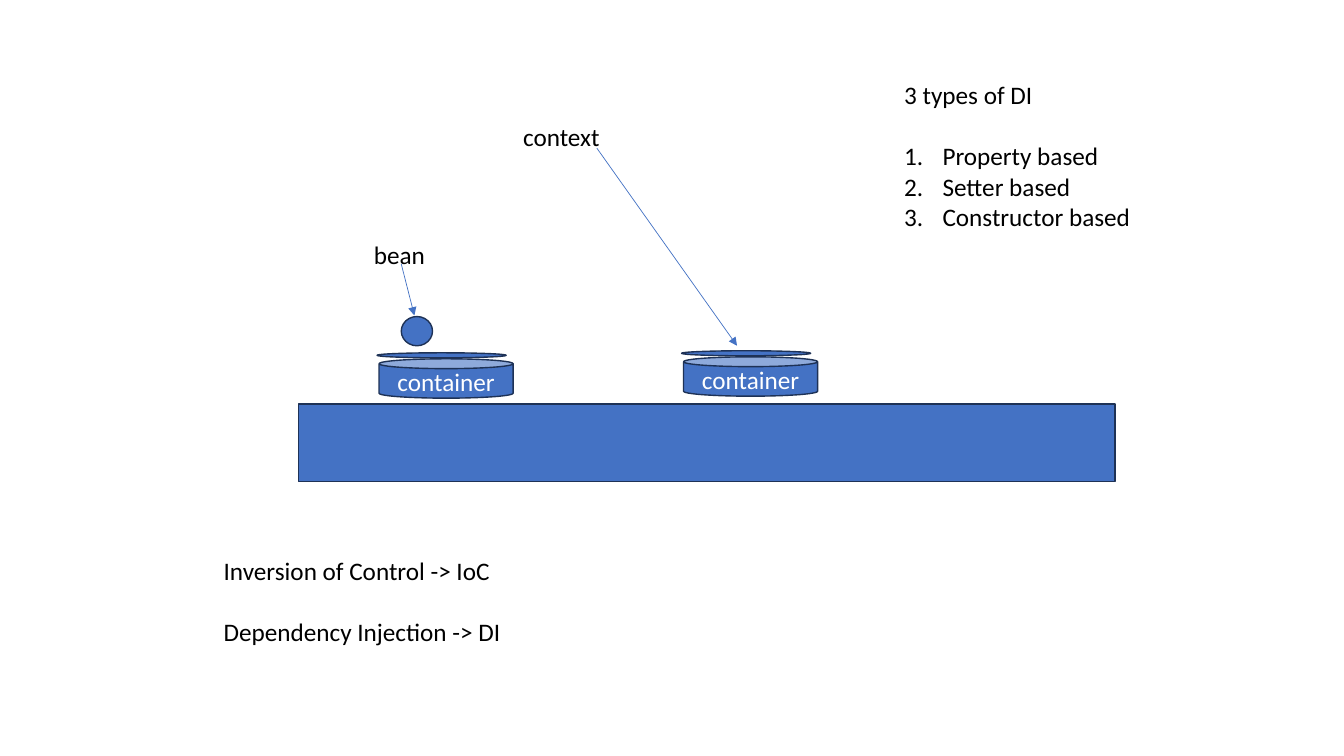
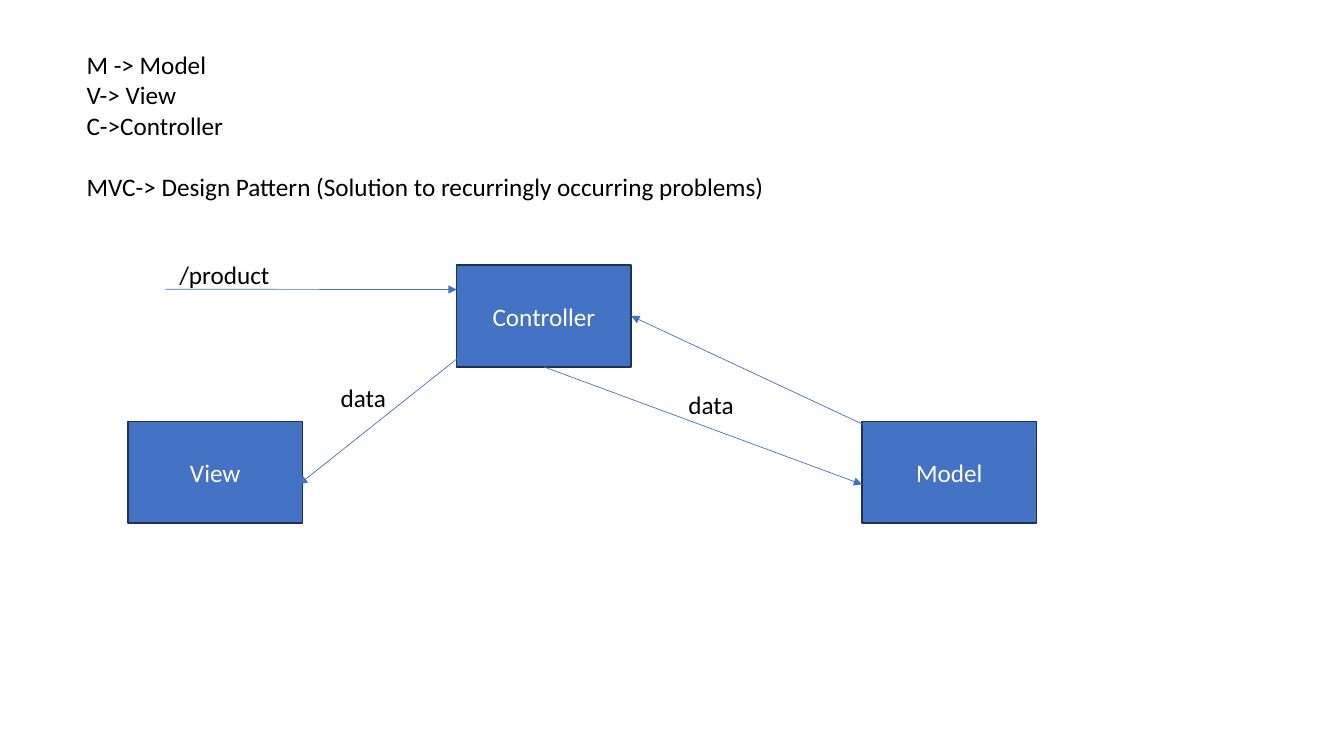
from pptx import Presentation
from pptx.dml.color import RGBColor
from pptx.enum.shapes import MSO_CONNECTOR, MSO_SHAPE
from pptx.enum.text import MSO_ANCHOR, MSO_AUTO_SIZE, PP_ALIGN
from pptx.oxml.ns import qn
from pptx.util import Inches, Pt
from lxml.etree import SubElement

THEME = {
    "blue": RGBColor(0x44, 0x72, 0xC4),
    "navy": RGBColor(0x1E, 0x32, 0x56),
    "black": RGBColor(0, 0, 0),
    "white": RGBColor(255, 255, 255),
    "font": "Calibri",
    "size": Pt(18),
    "gap": Pt(22),
    "outline": Pt(1),
    "arrow": Pt(0.5),
    "indent": Inches(0.38),
}

# A text is (place, groups); a blank line's height separates the groups.
# A group is (numbered, lines).
SPRING = {
    "texts": [
        ((5.09, 1.15, 2.44, 0.4), [(False, ["context"])]),
        ((3.61, 2.33, 2.44, 0.4), [(False, ["bean"])]),
        ((2.12, 5.46, 6.32, 1.01), [
            (False, ["Inversion of Control -> IoC"]),
            (False, ["Dependency Injection -> DI"]),
        ]),
        ((8.87, 0.74, 3.83, 1.62), [
            (False, ["3 types of DI"]),
            (True, ["Property based", "Setter based", "Constructor based"]),
        ]),
    ],
    "platform": (2.96, 4.01, 8.1, 0.77),
    "bean": (3.98, 3.14, 0.31, 0.29),
    "containers": [(3.76, 3.56), (6.78, 3.54)],
    "arrows": [((5.92, 1.47), (7.31, 3.43)), ((3.98, 2.62), (4.11, 3.13))],
}
CAN_SIZE = (1.33, 0.39)
LID_SIZE = (1.28, 0.05)
LID_OFFSET = (-0.02, -0.06)

MVC = {
    "texts": [
        ((0.76, 0.44, 10.68, 1.62), [
            (False, ["M -> Model", "V-> View", "C->Controller"]),
            (False, ["MVC-> Design Pattern (Solution to recurringly occurring problems)"]),
        ]),
        ((3.28, 3.74, 1.9, 0.4), [(False, ["data"])]),
        ((6.73, 3.81, 1.9, 0.4), [(False, ["data"])]),
        ((1.68, 2.52, 2.16, 0.4), [(False, ["/product"])]),
    ],
    "boxes": {"Controller": (4.53, 2.63), "View": (1.27, 4.18), "Model": (8.55, 4.18)},
    # Each end is a box and the shares of its width and height.
    "links": [
        (("Controller", 0.5, 1), ("Model", 0, 0.62)),
        (("Controller", 0.09, 0.8), ("View", 0.98, 0.62)),
        (("Model", 0.13, 0.13), ("Controller", 1, 0.5)),
    ],
    "request": ((1.64, 2.87), ("Controller", 0, 0.24)),
}
BOX_SIZE = (1.73, 1.01)


def inches(values):
    return [Inches(v) for v in values]


def add_run(p, text, color):
    r = p.add_run()
    r.text = text
    for name, value in {"name": THEME["font"], "size": THEME["size"]}.items():
        setattr(r.font, name, value)
    r.font.color.rgb = THEME[color]


def add_figure(slide, kind, place, label=None):
    sp = slide.shapes.add_shape(kind, *inches(place))
    sp.shadow.inherit = False
    sp.fill.solid()
    sp.fill.fore_color.rgb = THEME["blue"]
    sp.line.color.rgb = THEME["navy"]
    sp.line.width = THEME["outline"]
    if label:
        tf = sp.text_frame
        tf.vertical_anchor = MSO_ANCHOR.MIDDLE
        p = tf.paragraphs[0]
        p.alignment = PP_ALIGN.CENTER
        add_run(p, label, "white")


def add_arrow(slide, start, end):
    cn = slide.shapes.add_connector(MSO_CONNECTOR.STRAIGHT, *inches(start + end))
    cn.line.color.rgb = THEME["blue"]
    cn.line.width = THEME["arrow"]
    props = cn.element.spPr
    SubElement(props.find(qn("a:ln")), qn("a:tailEnd"), type="triangle")
    SubElement(props, qn("a:effectLst"))


def number(p):
    props = p._p.get_or_add_pPr()
    props.set("marL", str(THEME["indent"]))
    props.set("indent", str(-THEME["indent"]))
    SubElement(props, qn("a:buFont"), typeface="+mj-lt")
    SubElement(props, qn("a:buAutoNum"), type="arabicPeriod")


def add_text(slide, place, groups):
    tf = slide.shapes.add_textbox(*inches(place)).text_frame
    tf.word_wrap = True
    tf.auto_size = MSO_AUTO_SIZE.SHAPE_TO_FIT_TEXT
    p = None
    for g, (numbered, lines) in enumerate(groups):
        for i, line in enumerate(lines):
            p = tf.add_paragraph() if p else tf.paragraphs[0]
            if g and i == 0:
                p.space_before = THEME["gap"]
            if numbered:
                number(p)
            add_run(p, line, "black")


def build_spring(slide):
    add_figure(slide, MSO_SHAPE.RECTANGLE, SPRING["platform"])
    for x, y in SPRING["containers"]:
        dx, dy = LID_OFFSET
        add_figure(slide, MSO_SHAPE.OVAL, (x + dx, y + dy, *LID_SIZE))
        add_figure(slide, MSO_SHAPE.CAN, (x, y, *CAN_SIZE), "container")
    add_figure(slide, MSO_SHAPE.OVAL, SPRING["bean"])
    for start, end in SPRING["arrows"]:
        add_arrow(slide, start, end)


def box_point(name, across, down):
    x, y = MVC["boxes"][name]
    w, h = BOX_SIZE
    return x + across * w, y + down * h


def build_mvc(slide):
    for name, corner in MVC["boxes"].items():
        add_figure(slide, MSO_SHAPE.RECTANGLE, corner + BOX_SIZE, name)
    for start, end in MVC["links"]:
        add_arrow(slide, box_point(*start), box_point(*end))
    origin, target = MVC["request"]
    add_arrow(slide, origin, box_point(*target))


def main():
    prs = Presentation()
    prs.slide_width, prs.slide_height = inches((13.33, 7.5))
    for content, build in ((SPRING, build_spring), (MVC, build_mvc)):
        slide = prs.slides.add_slide(prs.slide_layouts[6])
        build(slide)
        for place, groups in content["texts"]:
            add_text(slide, place, groups)
    prs.save("out.pptx")


if __name__ == "__main__":
    main()
